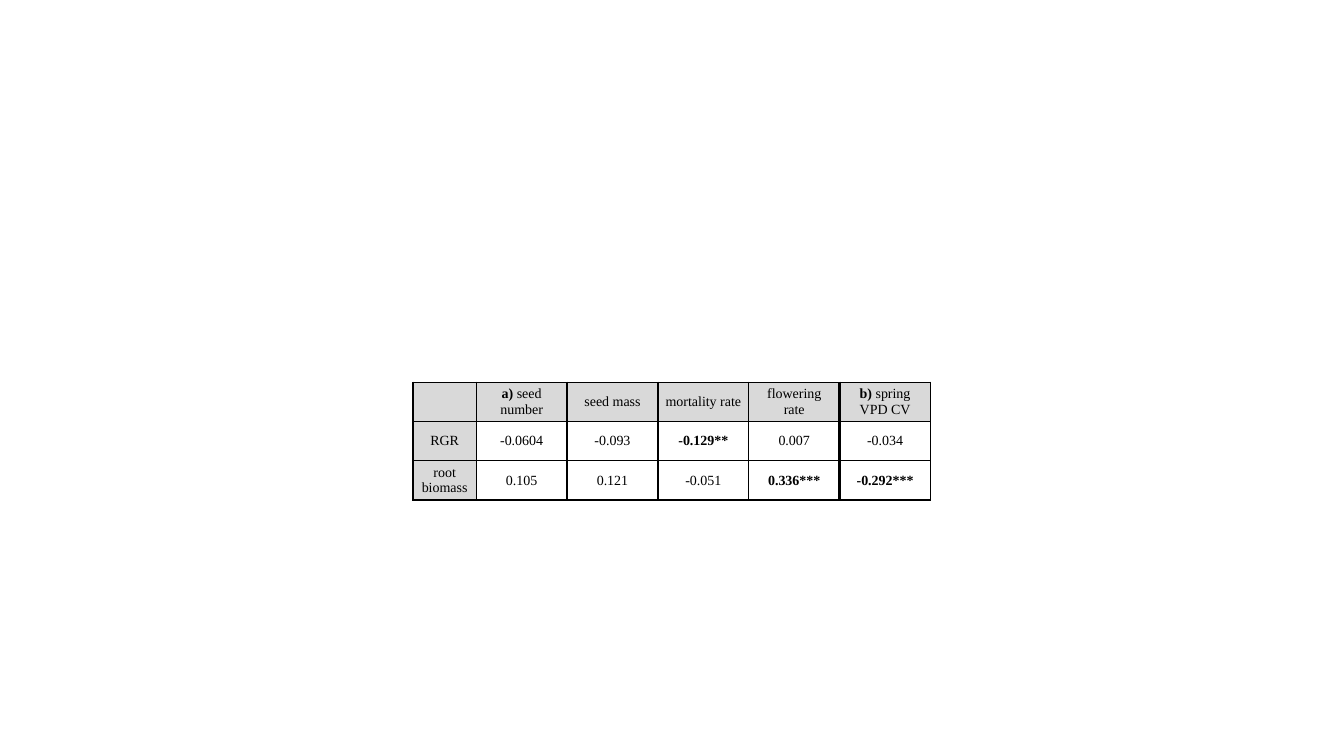
from lxml import etree
from pptx import Presentation
from pptx.dml.color import RGBColor
from pptx.enum.text import MSO_ANCHOR, PP_ALIGN
from pptx.oxml.ns import qn
from pptx.util import Cm, Pt

CENTER = PP_ALIGN.CENTER
MIDDLE = MSO_ANCHOR.MIDDLE
COLORS = {"ink": "000000", "header": "D9D9D9"}

# Each cell is a list of (text, bold) runs.
ROWS = [
    [[], [("a)", True), (" seed number", False)], [("seed mass", False)],
     [("mortality rate", False)], [("flowering rate", False)],
     [("b)", True), (" spring VPD CV", False)]],
    [[("RGR", False)], [("-0.0604", False)], [("-0.093", False)],
     [("-0.129**", True)], [("0.007", False)], [("-0.034", False)]],
    [[("root biomass", False)], [("0.105", False)], [("0.121", False)],
     [("-0.051", False)], [("0.336***", True)], [("-0.292***", True)]],
]
COLUMN_WIDTHS = [1.59] + [2.29] * 5
ROW_HEIGHT = 0.99
THIN, THICK = 1, 2.25
SPRING_COLUMN = 5  # a thick rule separates part b) from part a)


class SlideBuilder:
    def __init__(self, slide, font="Times New Roman", size=10):
        self.slide = slide
        self.font = font
        self.size = size

    def table(self, left, top, rows, widths, row_height):
        frame = self.slide.shapes.add_table(
            len(rows), len(widths), Cm(left), Cm(top),
            Cm(sum(widths)), Cm(row_height * len(rows)))
        table = frame.table
        table.first_row = False
        table.horz_banding = False
        for column, width in zip(table.columns, widths):
            column.width = Cm(width)
        for row_index, runs_in_row in enumerate(rows):
            table.rows[row_index].height = Cm(row_height)
            for column_index, runs in enumerate(runs_in_row):
                cell = table.cell(row_index, column_index)
                self.borders(
                    cell,
                    left=THICK if column_index == SPRING_COLUMN else THIN,
                    right=THICK if column_index == SPRING_COLUMN - 1 else THIN)
                self.fill(cell, row_index == 0 or column_index == 0)
                self.cell_text(cell, runs)

    def borders(self, cell, left, right):
        properties = cell._tc.get_or_add_tcPr()
        for side, width in (("L", left), ("R", right), ("T", THIN), ("B", THIN)):
            line = etree.SubElement(properties, qn(f"a:ln{side}"), w=str(Pt(width)))
            solid = etree.SubElement(line, qn("a:solidFill"))
            etree.SubElement(solid, qn("a:srgbClr"), val=COLORS["ink"])

    def fill(self, cell, is_header):
        if is_header:
            cell.fill.solid()
            cell.fill.fore_color.rgb = RGBColor.from_string(COLORS["header"])
        else:
            cell.fill.background()

    def cell_text(self, cell, runs):
        cell.vertical_anchor = MIDDLE
        cell.margin_left = cell.margin_right = Cm(0.18)
        cell.margin_top = cell.margin_bottom = 0
        paragraph = cell.text_frame.paragraphs[0]
        paragraph.alignment = CENTER
        for text, bold in runs:
            run = paragraph.add_run()
            run.text = text
            run.font.name = self.font
            run.font.size = Pt(self.size)
            run.font.bold = bold
            run.font.color.rgb = RGBColor.from_string(COLORS["ink"])


def main():
    presentation = Presentation()
    presentation.slide_width = Cm(33.87)
    presentation.slide_height = Cm(19.05)
    slide = presentation.slides.add_slide(presentation.slide_layouts[6])
    SlideBuilder(slide).table(10.41, 9.63, ROWS, COLUMN_WIDTHS, ROW_HEIGHT)
    presentation.save("out.pptx")


if __name__ == "__main__":
    main()
